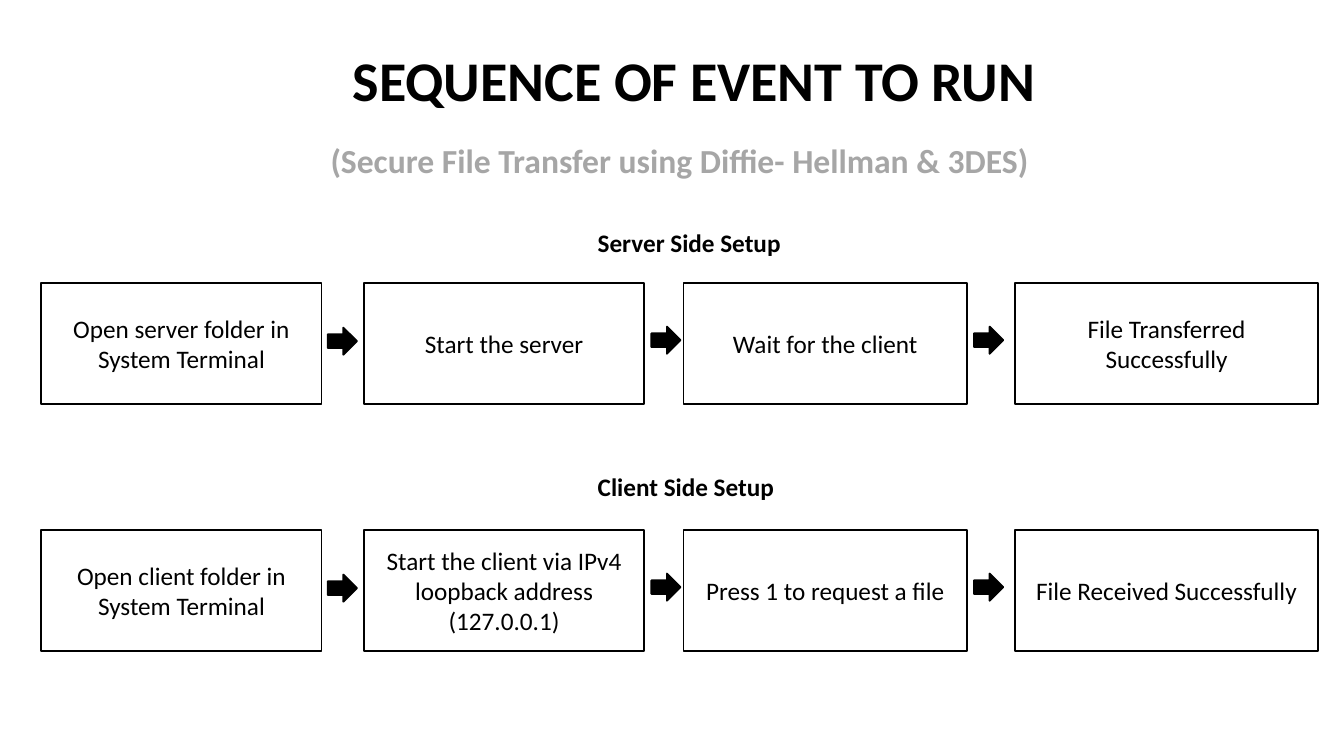
from pptx import Presentation
from pptx.dml.color import RGBColor
from pptx.enum.shapes import MSO_SHAPE as Preset
from pptx.enum.text import MSO_ANCHOR as Anchor, PP_ALIGN as Align
from pptx.util import Inches, Pt


def write(shape, text, size=18, color="000000", bold=False, align=Align.CENTER, anchor=Anchor.MIDDLE):
    frame = shape.text_frame
    frame.word_wrap = True
    frame.vertical_anchor = anchor
    for index, line in enumerate(text.split("\n")):
        para = frame.paragraphs[0] if index == 0 else frame.add_paragraph()
        para.alignment = align
        span = para.add_run()
        span.text = line
        span.font.name = "Calibri"
        span.font.size = Pt(size)
        span.font.bold = bold
        span.font.color.rgb = RGBColor.from_string(color)


def add_block(page, preset, left, top, width, height, fill):
    block = page.shapes.add_shape(preset, Inches(left), Inches(top), Inches(width), Inches(height))
    block.shadow.inherit = False
    block.fill.solid()
    block.fill.fore_color.rgb = RGBColor.from_string(fill)
    block.line.color.rgb = RGBColor.from_string("000000")
    block.line.width = Pt(1.25)
    return block


deck = Presentation()
deck.slide_width, deck.slide_height = Inches(13.33), Inches(7.5)
page = deck.slides.add_slide(deck.slide_layouts[5])

title = page.shapes.title
title.left, title.top = Inches(1.65), Inches(0.27)
title.width, title.height = Inches(10.47), Inches(1.03)
write(title, "SEQUENCE OF EVENT TO RUN", size=40, bold=True)

subtitle = page.shapes.add_textbox(Inches(1.14), Inches(1.34), Inches(11.2), Inches(0.5))
write(subtitle, "(Secure File Transfer using Diffie- Hellman & 3DES)",
      size=24, color="A6A6A6", bold=True, anchor=Anchor.TOP)

step_columns = [(0.41, 2.78), (3.61, 2.78), (6.78, 2.81), (10.07, 3)]
step_height = 1.2
arrow_places = [(3.25, 0.44), (6.46, 0.43), (9.66, 0.43)]
setups = [
    ("Server Side Setup", 2.21, 2.81, [
        "Open server folder in System Terminal",
        "Start the server",
        "Wait for the client",
        "File Transferred Successfully",
    ]),
    ("Client Side Setup", 4.63, 5.26, [
        "Open client folder in System Terminal",
        "Start the client via IPv4 loopback address\n(127.0.0.1)",
        "Press 1 to request a file",
        "File Received Successfully",
    ]),
]

for heading, heading_top, row_top, steps in setups:
    box = page.shapes.add_textbox(Inches(5.83), Inches(heading_top), Inches(2.1), Inches(0.4))
    write(box, heading, bold=True, align=Align.LEFT, anchor=Anchor.TOP)
    for (left, width), step in zip(step_columns, steps):
        write(add_block(page, Preset.RECTANGLE, left, row_top, width, step_height, "FFFFFF"), step)
    for left, drop in arrow_places:
        add_block(page, Preset.RIGHT_ARROW, left, row_top + drop, 0.29, 0.27, "000000")

deck.save("out.pptx")
